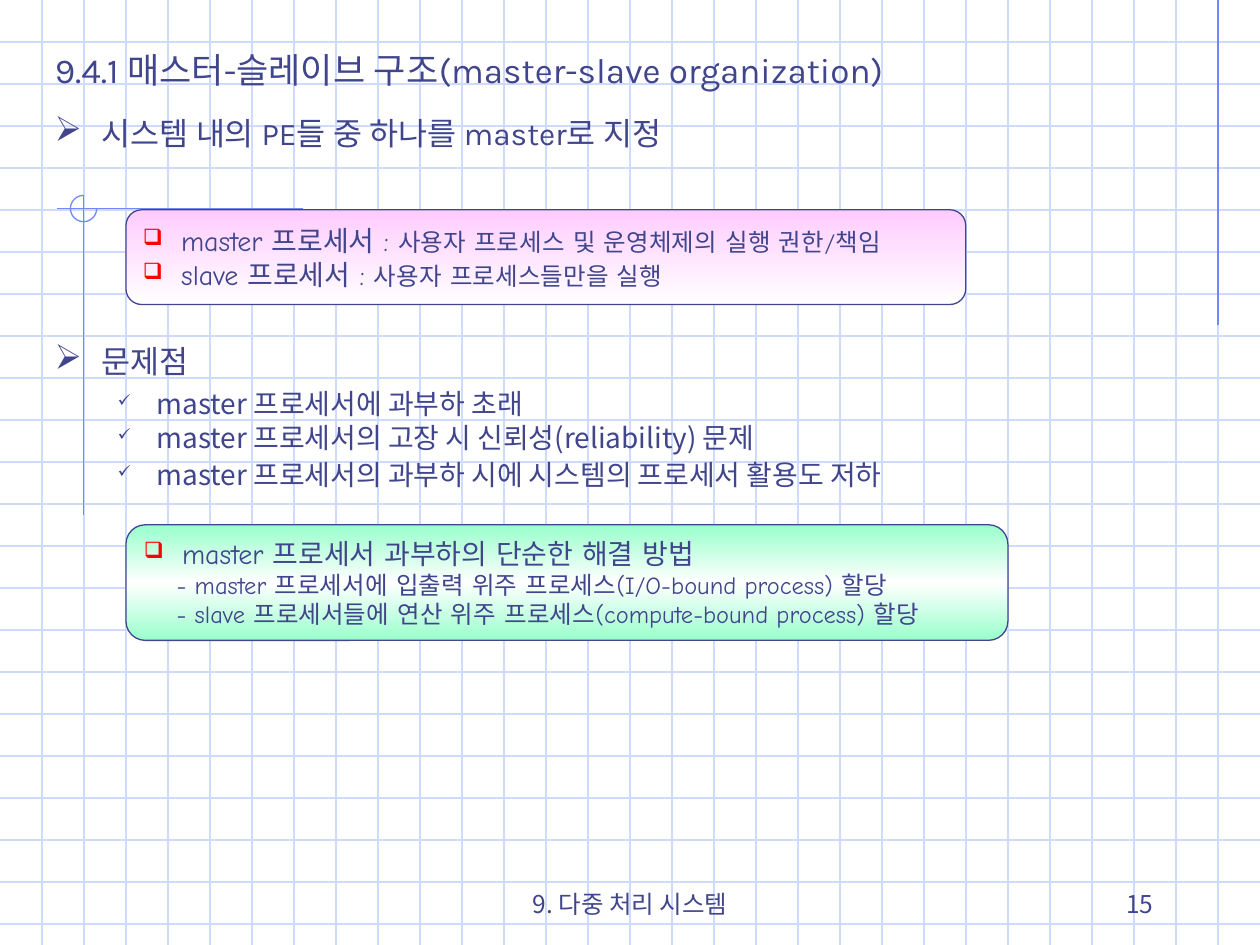
from dataclasses import dataclass

from lxml import etree
from pptx import Presentation
from pptx.dml.color import RGBColor
from pptx.enum.shapes import MSO_CONNECTOR, MSO_SHAPE
from pptx.enum.text import MSO_ANCHOR, PP_ALIGN
from pptx.oxml.ns import qn
from pptx.util import Cm, Pt

STRAIGHT = MSO_CONNECTOR.STRAIGHT
PANEL, ARC = MSO_SHAPE.FLOWCHART_ALTERNATE_PROCESS, MSO_SHAPE.ARC
TOP, MIDDLE, BOTTOM = MSO_ANCHOR.TOP, MSO_ANCHOR.MIDDLE, MSO_ANCHOR.BOTTOM
LEFT, CENTER, RIGHT = PP_ALIGN.LEFT, PP_ALIGN.CENTER, PP_ALIGN.RIGHT
WIDTH, HEIGHT = 25.4, 19.05
STEP = WIDTH / 30


@dataclass(frozen=True)
class Theme:
    ink: str = "40458C"
    grid: str = "CFDBFD"
    accent: str = "6F89F7"
    marker: str = "FF0000"
    pink: tuple = ((0, "FFCCFF"), (100, "FFFFFF"))
    green: tuple = ((0, "99FFCC"), (50, "FFFFFF"), (100, "99FFCC"))
    heading_font: str = "Karla"
    body_font: str = "Noto Sans CJK KR"
    panel_font: str = "Comic Neue"
    title_size: float = 20
    topic_size: float = 18
    point_size: float = 16
    detail_size: float = 14
    stroke: float = 0.75


@dataclass(frozen=True)
class Item:
    runs: tuple
    bullet: str = ""
    bullet_color: str = ""
    bullet_size: int = 100
    margin: float = 0
    hanging: float = 0
    before: float = 0
    spacing: float = 1.0


class SlideBuilder:
    """Draws styled elements on the current slide."""

    def __init__(self, slide, theme):
        self.slide, self.theme = slide, theme

    def line(self, x1, y1, x2, y2, color):
        rule = self.slide.shapes.add_connector(STRAIGHT, Cm(x1), Cm(y1), Cm(x2), Cm(y2))
        rule.line.color.rgb = RGBColor.from_string(color)
        rule.line.width = Pt(self.theme.stroke)
        etree.SubElement(rule._element.spPr, qn("a:effectLst"))

    def arc(self, x, y, size):
        ring = self.slide.shapes.add_shape(ARC, Cm(x), Cm(y), Cm(size), Cm(size))
        ring.shadow.inherit = False
        ring.adjustments[0], ring.adjustments[1] = 0, 162
        ring.fill.background()
        ring.line.color.rgb = RGBColor.from_string(self.theme.accent)
        ring.line.width = Pt(self.theme.stroke)

    def title(self, box, text):
        heading = self.slide.shapes.title
        heading.left, heading.top, heading.width, heading.height = map(Cm, box)
        heading._element.getparent().append(heading._element)
        title_item = Item(((text, self.theme.title_size),))
        self.fill_text(heading.text_frame, [title_item], self.theme.heading_font)

    def text(self, box, items, font, align=LEFT, anchor=TOP):
        area = self.slide.shapes.add_textbox(*map(Cm, box))
        self.fill_text(area.text_frame, items, font, align, anchor)

    def panel(self, box, stops, items):
        panel = self.slide.shapes.add_shape(PANEL, *map(Cm, box))
        panel.shadow.inherit = False
        panel.fill.gradient()
        panel.fill.gradient_angle = 270
        gradient = panel._element.spPr.find(".//" + qn("a:gsLst"))
        gradient.clear()
        for position, color in stops:
            stop = etree.SubElement(gradient, qn("a:gs"), pos=str(position * 1000))
            etree.SubElement(stop, qn("a:srgbClr"), val=color)
        panel.line.color.rgb = RGBColor.from_string(self.theme.ink)
        panel.line.width = Pt(self.theme.stroke)
        self.fill_text(panel.text_frame, items, self.theme.panel_font, anchor=MIDDLE)

    def fill_text(self, frame, items, font, align=LEFT, anchor=TOP):
        frame.word_wrap = True
        frame.vertical_anchor = anchor
        for index, item in enumerate(items):
            paragraph = frame.add_paragraph() if index else frame.paragraphs[0]
            self.bullet(paragraph, item)
            paragraph.alignment = align
            paragraph.space_before = Pt(item.before)
            paragraph.line_spacing = item.spacing
            for content, size in item.runs:
                run = paragraph.add_run()
                run.text = content
                run.font.size = Pt(size)
                run.font.name = font
                run.font.color.rgb = RGBColor.from_string(self.theme.ink)
                etree.SubElement(run._r.get_or_add_rPr(), qn("a:ea"), typeface=font)

    def bullet(self, paragraph, item):
        properties = paragraph._p.get_or_add_pPr()
        properties.set("marL", str(Cm(item.margin)))
        properties.set("indent", str(Cm(-item.hanging)))
        if item.bullet:
            color = etree.SubElement(properties, qn("a:buClr"))
            etree.SubElement(color, qn("a:srgbClr"), val=item.bullet_color)
            etree.SubElement(properties, qn("a:buSzPct"), val=str(item.bullet_size * 1000))
            etree.SubElement(properties, qn("a:buChar"), char=item.bullet)
        else:
            etree.SubElement(properties, qn("a:buNone"))


def main():
    theme = Theme()
    deck = Presentation()
    deck.slide_width, deck.slide_height = Cm(WIDTH), Cm(HEIGHT)
    builder = SlideBuilder(deck.slides.add_slide(deck.slide_layouts[5]), theme)

    def topic(text):
        return Item(((text, theme.topic_size),), "➢", theme.ink, 110, 0.95, 0.95)

    def problem(text, spacing):
        return Item(((text, theme.point_size),), "✓", theme.ink, 60, 2.06, 0.79, 4, spacing)

    def role(text, detail=""):
        runs = ((text, theme.point_size), (detail, theme.detail_size))
        return Item(runs if detail else runs[:1], "❑", theme.marker, 80, 0.77, 0.77)

    def remedy(text):
        return Item(((text, theme.detail_size),), margin=0.66)

    def plain(text):
        return Item(((text, theme.detail_size),))

    for row in range(1, 23):
        builder.line(0, row * STEP, WIDTH, row * STEP, theme.grid)
    for column in range(1, 30):
        builder.line(column * STEP, 0, column * STEP, HEIGHT, theme.grid)
    builder.line(29 * STEP, 0, 29 * STEP, 6.55, theme.accent)
    builder.line(6.1, 4.21, 1.14, 4.21, theme.accent)
    builder.line(1.69, 3.94, 1.69, 10.39, theme.accent)
    builder.arc(1.42, 3.94, 0.53)

    builder.title((0.85, 0.85, 23.7, 1.2), "9.4.1 매스터-슬레이브 구조(master-slave organization)")
    builder.text((0.85, 2.18, 23.7, 1.2), [topic("시스템 내의 PE들 중 하나를 master로 지정")],
                 theme.heading_font)
    builder.panel((2.54, 4.23, 16.93, 1.91), theme.pink, [
        role("master 프로세서 : ", "사용자 프로세스 및 운영체제의 실행 권한/책임"),
        role("slave 프로세서 : ", "사용자 프로세스들만을 실행"),
    ])
    builder.text((0.85, 6.77, 22.23, 3.6), [
        topic("문제점"),
        problem("master 프로세서에 과부하 초래", 1.0),
        problem("master 프로세서의 고장 시 신뢰성(reliability) 문제", 0.8),
        problem("master 프로세서의 과부하 시에 시스템의 프로세서 활용도 저하", 0.9),
    ], theme.body_font)
    builder.panel((2.54, 10.58, 17.78, 2.33), theme.green, [
        role("master 프로세서 과부하의 단순한 해결 방법"),
        remedy("- master 프로세서에 입출력 위주 프로세스(I/O-bound process) 할당"),
        remedy("- slave 프로세서들에 연산 위주 프로세스(compute-bound process) 할당"),
    ])
    builder.text((8.68, 17.36, 8.05, 1.27), [plain("9. 다중 처리 시스템")],
                 theme.body_font, CENTER, BOTTOM)
    builder.text((18.2, 17.36, 5.3, 1.27), [plain("15")], theme.body_font, RIGHT, BOTTOM)
    deck.save("out.pptx")


if __name__ == "__main__":
    main()
